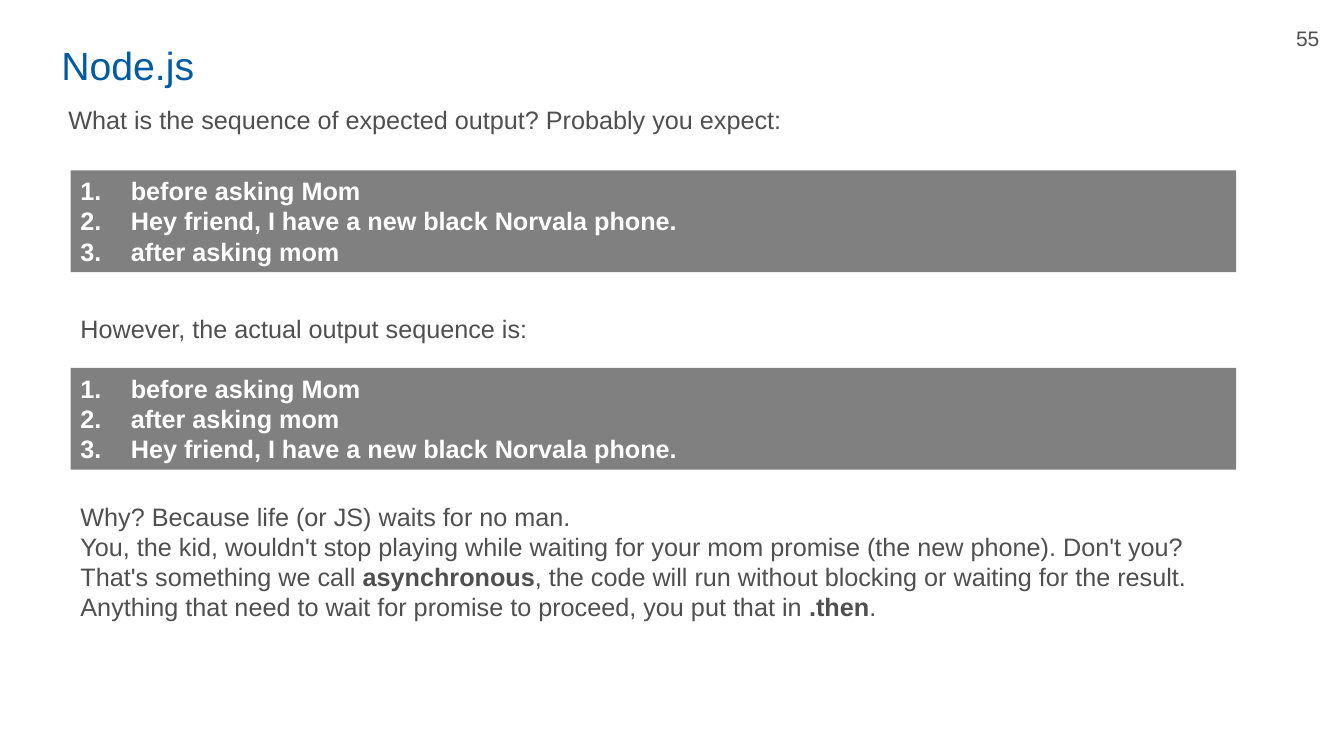
from dataclasses import dataclass

from lxml.etree import SubElement
from pptx import Presentation
from pptx.dml.color import RGBColor
from pptx.enum.shapes import MSO_SHAPE
from pptx.enum.text import MSO_ANCHOR, PP_ALIGN
from pptx.oxml.ns import qn
from pptx.util import Inches, Pt


@dataclass(frozen=True)
class Theme:
    font: str = "Arial"
    blue: str = "005BA1"
    dark: str = "4F4F4F"
    gray: str = "808080"
    white: str = "FFFFFF"
    title_size: int = 28
    body_size: int = 18
    number_size: int = 15


THEME = Theme()
LEFT, WIDTH = 0.7, 11.56
BEFORE = "before asking Mom"
AFTER = "after asking mom"
PHONE = "Hey friend, I have a new black Norvala phone."
EXPLANATION = [
    [("Why? Because life (or JS) waits for no man.", False)],
    [
        ("You, the kid, wouldn't stop playing while waiting for your mom promise "
         "(the new phone). Don't you? That's something we call ", False),
        ("asynchronous", True),
        (", the code will run without blocking or waiting for the result. "
         "Anything that need to wait for promise to proceed, you put that in ", False),
        (".then", True),
        (".", False),
    ],
]


def style_run(run, size, color, bold=False):
    run.font.name = THEME.font
    run.font.size = Pt(size)
    run.font.bold = bold
    run.font.color.rgb = RGBColor.from_string(color)


def add_text(slide, box, paragraphs, size=THEME.body_size, color=THEME.dark):
    """Add a text box; each paragraph is a list of (text, bold) pairs."""
    text_frame = slide.shapes.add_textbox(*map(Inches, box)).text_frame
    text_frame.word_wrap = True
    for index, pieces in enumerate(paragraphs):
        paragraph = text_frame.add_paragraph() if index else text_frame.paragraphs[0]
        for text, bold in pieces:
            run = paragraph.add_run()
            run.text = text
            style_run(run, size, color, bold)
    return text_frame


def add_line(slide, box, text, **style):
    return add_text(slide, box, [[(text, False)]], **style)


def number_paragraph(paragraph):
    properties = paragraph._p.get_or_add_pPr()
    properties.set("marL", str(Inches(0.5)))
    properties.set("indent", str(Inches(-0.5)))
    SubElement(properties, qn("a:buFont"), typeface="+mj-lt")
    SubElement(properties, qn("a:buAutoNum"), type="arabicPeriod")


def add_output_panel(slide, box, lines):
    panel = slide.shapes.add_shape(MSO_SHAPE.RECTANGLE, *map(Inches, box))
    panel.shadow.inherit = False
    panel.fill.solid()
    panel.fill.fore_color.rgb = RGBColor.from_string(THEME.gray)
    panel.line.fill.background()
    text_frame = panel.text_frame
    text_frame.word_wrap = True
    text_frame.vertical_anchor = MSO_ANCHOR.TOP
    text_frame.text = "\n".join(lines)
    for paragraph in text_frame.paragraphs:
        number_paragraph(paragraph)
        paragraph.alignment = PP_ALIGN.LEFT
        for run in paragraph.runs:
            style_run(run, THEME.body_size, THEME.white, bold=True)


def add_header(slide, box):
    left, top, width, height = box
    title = add_line(slide, (left, top + 0.1, 10.89, height), "Node.js",
                     size=THEME.title_size, color=THEME.blue)
    title.vertical_anchor = MSO_ANCHOR.MIDDLE
    number_width = 0.72
    number = add_line(slide, (left + width - number_width, top, number_width, 0.35),
                      "55", size=THEME.number_size)
    number.paragraphs[0].alignment = PP_ALIGN.CENTER


def add_comparison(slide, box):
    """Place the expected and the actual output one below the other."""
    left, top, width, _ = box
    add_line(slide, (left - 0.12, top, 12.24, 0.4),
             "What is the sequence of expected output? Probably you expect:")
    add_output_panel(slide, (left, top + 0.7, width, 1.01), [BEFORE, PHONE, AFTER])
    add_line(slide, (left, top + 2.07, width, 0.4),
             "However, the actual output sequence is:")
    add_output_panel(slide, (left, top + 2.66, width, 1.01), [BEFORE, AFTER, PHONE])


def main():
    presentation = Presentation()
    presentation.slide_width = Inches(13.33)
    presentation.slide_height = Inches(7.5)
    slide = presentation.slides.add_slide(presentation.slide_layouts[6])
    add_header(slide, (0.51, 0.2, 12.82, 0.68))
    add_comparison(slide, (LEFT, 0.99, WIDTH, 3.67))
    add_text(slide, (LEFT, 4.92, 11.77, 1.72), EXPLANATION)
    presentation.save("out.pptx")


if __name__ == "__main__":
    main()
